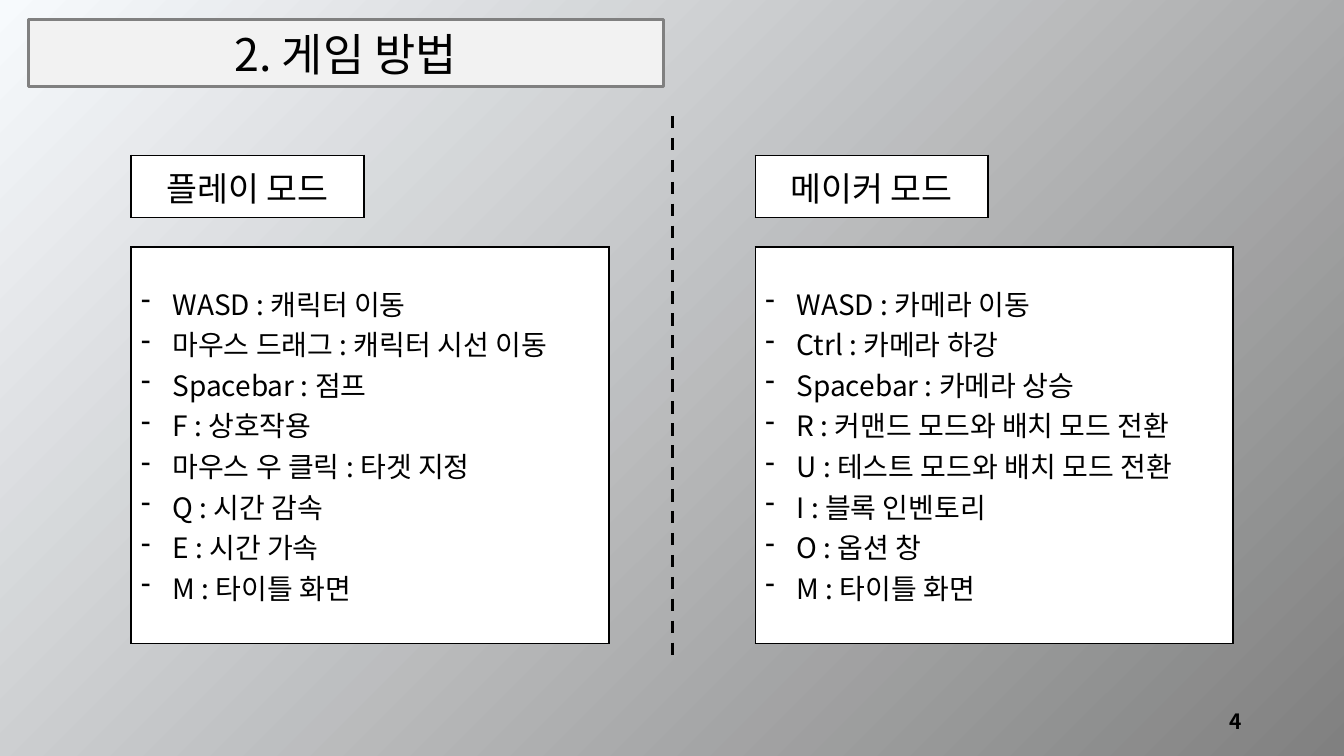
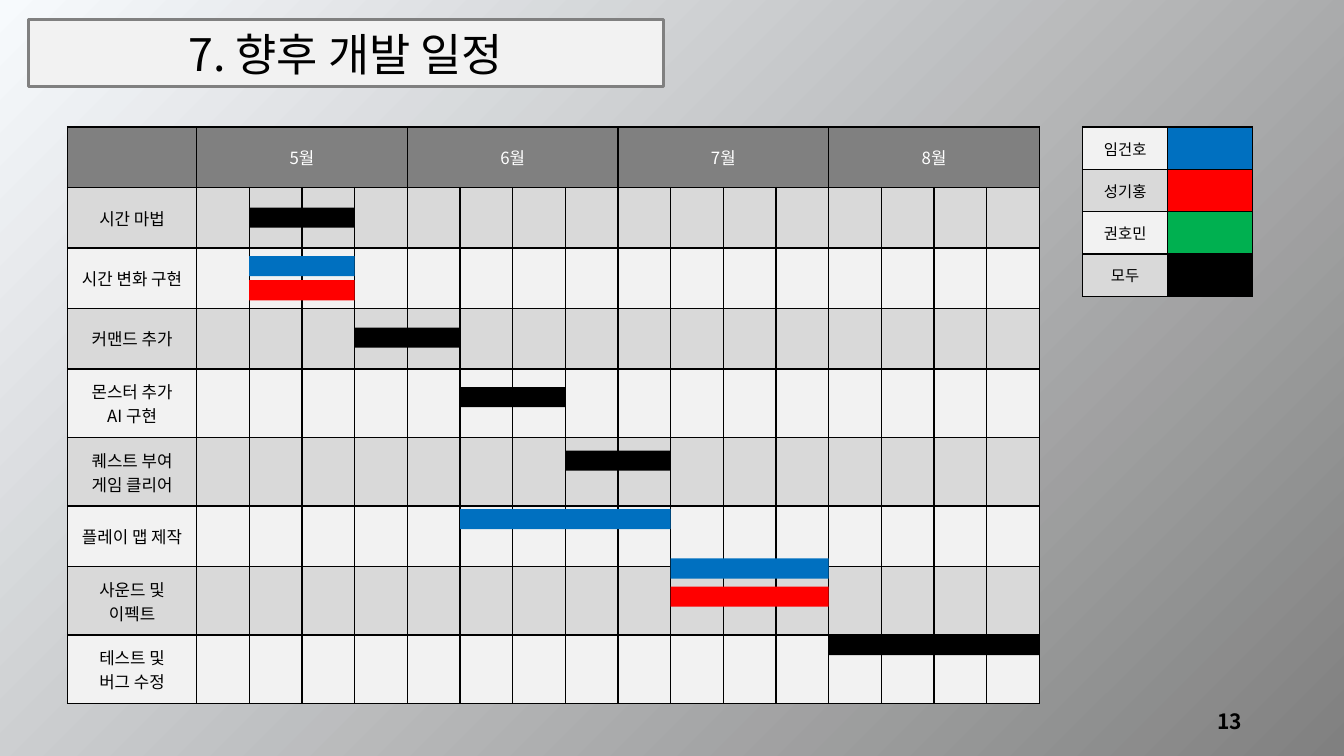
"""Build the game guide and development schedule slides."""
from lxml.etree import SubElement
from pptx import Presentation
from pptx.dml.color import RGBColor
from pptx.enum.dml import MSO_LINE
from pptx.enum.shapes import MSO_CONNECTOR, MSO_SHAPE
from pptx.enum.text import MSO_ANCHOR, PP_ALIGN
from pptx.oxml.ns import qn
from pptx.util import Inches, Pt

FONT = "Noto Sans CJK KR"
COLORS = {
    "black": "000000", "white": "FFFFFF", "pale": "F7FAFD", "gray": "808080",
    "light": "F2F2F2", "mid": "D9D9D9",
    "blue": "0070C0", "red": "FF0000", "green": "00B050",
}


def rgb(name):
    return RGBColor.from_string(COLORS[name])


class Deck:
    """Hold the shared style and the current slide."""

    def __init__(self):
        self.prs = Presentation()
        self.prs.slide_width, self.prs.slide_height = Inches(13.33), Inches(7.5)
        self.layout = self.prs.slide_layouts[5]
        fill = self.layout.background.fill
        fill.gradient()
        fill.gradient_angle = 315
        for stop, color, position in zip(fill.gradient_stops, ("pale", "gray"), (0, 1)):
            stop.color.rgb = rgb(color)
            stop.position = position

    def slide(self, title, number):
        self.s = self.prs.slides.add_slide(self.layout)
        sp = self.s.shapes.title
        sp.left, sp.top, sp.width, sp.height = map(Inches, (0.28, 0.19, 6.3, 0.67))
        sp.fill.solid()
        sp.fill.fore_color.rgb = rgb("light")
        sp.line.color.rgb = rgb("gray")
        sp.line.width = Pt(2.25)
        self.text(sp.text_frame, title, 32, anchor=MSO_ANCHOR.BOTTOM)
        sp.text_frame.paragraphs[0].line_spacing = 0.9
        box = self.s.shapes.add_textbox(*map(Inches, (9.42, 6.95, 3, 0.4)))
        self.text(box.text_frame, number, 15, align=PP_ALIGN.RIGHT, bold=True)

    def text(self, tf, text, size, color="black", align=PP_ALIGN.CENTER,
             anchor=MSO_ANCHOR.MIDDLE, bold=False):
        tf.text = text
        tf.word_wrap = True
        tf.vertical_anchor = anchor
        for p in tf.paragraphs:
            p.alignment = align
            for r in p.runs:
                r.font.size = Pt(size)
                r.font.bold = bold
                r.font.color.rgb = rgb(color)
                r.font.name = FONT
                SubElement(r.font._element, qn("a:ea"), typeface=FONT)

    def table(self, left, top, widths, heights):
        frame = self.s.shapes.add_table(
            len(heights), len(widths), Inches(left), Inches(top),
            Inches(sum(widths)), Inches(sum(heights)))
        table = frame.table
        table.first_row = table.horz_banding = False
        for column, width in zip(table.columns, widths):
            column.width = Inches(width)
        for row, height in zip(table.rows, heights):
            row.height = Inches(height)
        return table

    def cell(self, cell, fill, text="", size=12, margin=None, **style):
        tc_pr = cell._tc.get_or_add_tcPr()
        for side in ("lnL", "lnR", "lnT", "lnB"):
            ln = SubElement(tc_pr, qn(f"a:{side}"), w=str(Pt(1)))
            solid = SubElement(ln, qn("a:solidFill"))
            SubElement(solid, qn("a:srgbClr"), val=COLORS["black"])
        cell.fill.solid()
        cell.fill.fore_color.rgb = rgb(fill)
        if text:
            self.text(cell.text_frame, text, size, **style)
            cell.vertical_anchor = MSO_ANCHOR.MIDDLE
            if margin:
                cell.margin_left = cell.margin_right = Inches(margin)
                cell.margin_top = cell.margin_bottom = Inches(margin)

    def panel(self, left, top, width, height, text, size, bullet=None):
        cell = self.table(left, top, [width], [height]).cell(0, 0)
        align = PP_ALIGN.LEFT if bullet else PP_ALIGN.CENTER
        self.cell(cell, "white", text, size, align=align)
        if bullet:
            for p in cell.text_frame.paragraphs:
                p_pr = p._p.get_or_add_pPr()
                p_pr.set("marL", str(Inches(0.31)))
                p_pr.set("indent", str(-Inches(0.31)))
                SubElement(p_pr, qn("a:buChar"), char=bullet)

    def divider(self, x, top, bottom):
        line = self.s.shapes.add_connector(
            MSO_CONNECTOR.STRAIGHT, Inches(x), Inches(top), Inches(x), Inches(bottom))
        line.line.color.rgb = rgb("black")
        line.line.width = Pt(2.25)
        line.line.dash_style = MSO_LINE.DASH
        SubElement(line._element.spPr, qn("a:effectLst"))

    def bar(self, left, top, width, color):
        sp = self.s.shapes.add_shape(
            MSO_SHAPE.RECTANGLE, Inches(left), Inches(top), Inches(width), Inches(0.2))
        sp.shadow.inherit = False
        sp.fill.solid()
        sp.fill.fore_color.rgb = rgb(color)
        sp.line.fill.background()


def controls_slide(deck):
    deck.slide("2. 게임 방법", "4")
    deck.divider(6.67, 1.15, 6.54)
    modes = [
        (1.3, "플레이 모드", [
            "WASD : 캐릭터 이동", "마우스 드래그 : 캐릭터 시선 이동",
            "Spacebar : 점프", "F : 상호작용", "마우스 우 클릭 : 타겟 지정",
            "Q : 시간 감속", "E : 시간 가속", "M : 타이틀 화면"]),
        (7.49, "메이커 모드", [
            "WASD : 카메라 이동", "Ctrl : 카메라 하강", "Spacebar : 카메라 상승",
            "R : 커맨드 모드와 배치 모드 전환", "U : 테스트 모드와 배치 모드 전환",
            "I : 블록 인벤토리", "O : 옵션 창", "M : 타이틀 화면"]),
    ]
    for left, mode, keys in modes:
        deck.panel(left, 1.54, 2.31, 0.62, mode, 24)
        deck.panel(left, 2.45, 4.74, 3.93, "\n".join(keys), 20, bullet="-")


def schedule_slide(deck):
    deck.slide("7. 향후 개발 일정", "13")
    left, top, label_width, weeks, week = 0.67, 1.26, 1.28, 16, 8.36 / 16
    months = ["5월", "6월", "7월", "8월"]
    tasks = [
        ("시간 마법", 0.6), ("시간 변화 구현", 0.6), ("커맨드 추가", 0.6),
        ("몬스터 추가\nAI 구현", 0.68), ("퀘스트 부여\n게임 클리어", 0.68),
        ("플레이 맵 제작", 0.6), ("사운드 및 이펙트", 0.68), ("테스트 및\n버그 수정", 0.68),
    ]
    shades = ("light", "mid")
    table = deck.table(left, top, [label_width] + [week] * weeks,
                       [0.6] + [height for _, height in tasks])
    for i in range(weeks + 1):
        month = months[i // 4] if i % 4 == 1 else ""
        deck.cell(table.cell(0, i), "gray", month, margin=0.1, color="white")
    for i in range(1, weeks, 4):
        table.cell(0, i).merge(table.cell(0, i + 3))
    for row, (task, _) in enumerate(tasks, 1):
        for i in range(weeks + 1):
            deck.cell(table.cell(row, i), shades[row % 2], "" if i else task, margin=0.1)

    members = [("임건호", "blue"), ("성기홍", "red"), ("권호민", "green"), ("모두", "black")]
    legend = deck.table(10.74, top, [0.84] * 2, [0.42] * len(members))
    for row, (member, color) in enumerate(members):
        deck.cell(legend.cell(row, 0), shades[row % 2], member, 11, margin=0.1)
        deck.cell(legend.cell(row, 1), color)

    bars = [
        (1, 2, 2.06, "black"), (1, 2, 2.54, "blue"), (1, 2, 2.78, "red"),
        (3, 2, 3.25, "black"), (5, 2, 3.84, "black"), (7, 2, 4.47, "black"),
        (5, 4, 5.05, "blue"), (9, 3, 5.54, "blue"), (9, 3, 5.82, "red"),
        (12, 4, 6.3, "black"),
    ]
    for start, length, y, color in bars:
        deck.bar(left + label_width + start * week, y, length * week, color)


def main():
    deck = Deck()
    controls_slide(deck)
    schedule_slide(deck)
    deck.prs.save("out.pptx")


if __name__ == "__main__":
    main()
